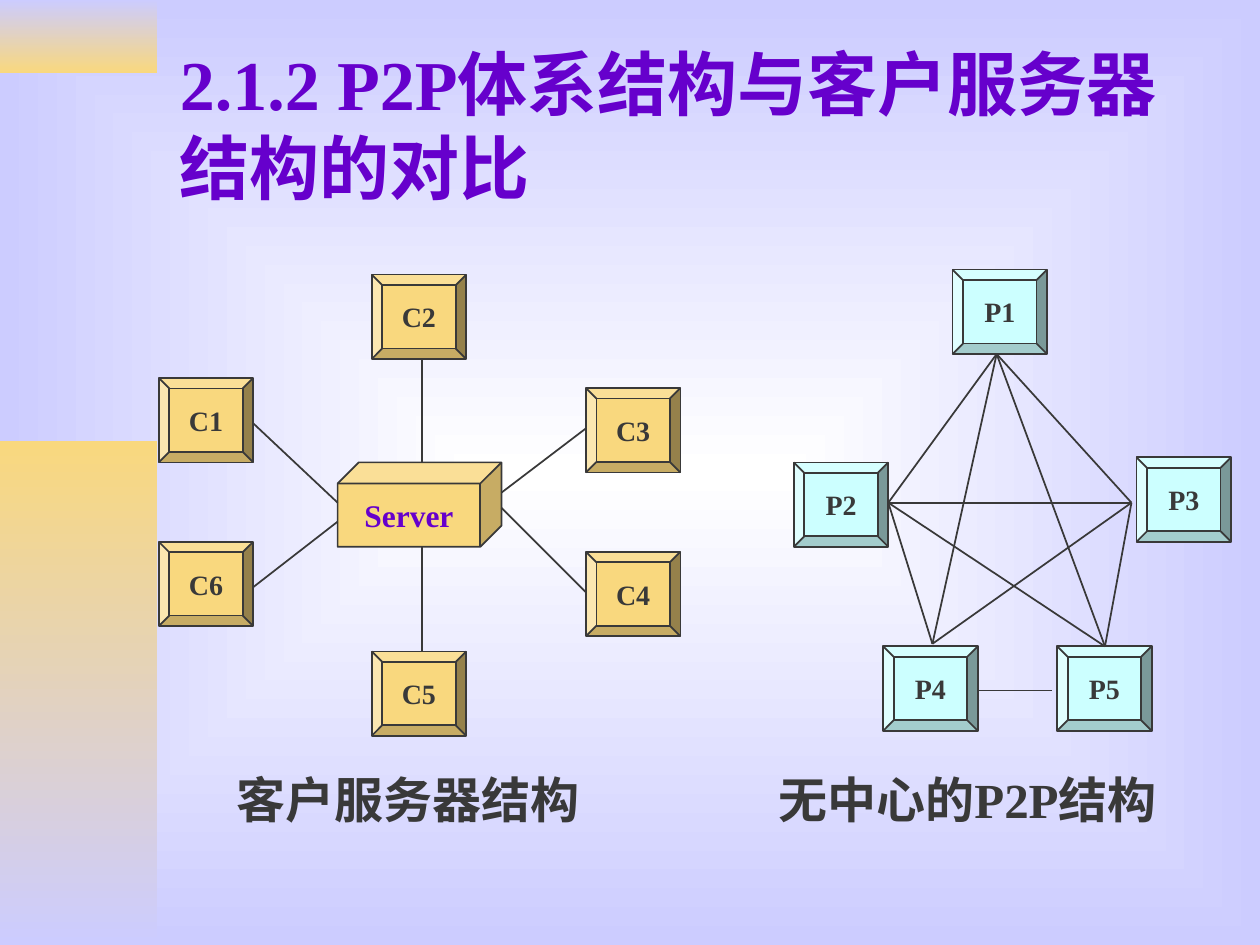
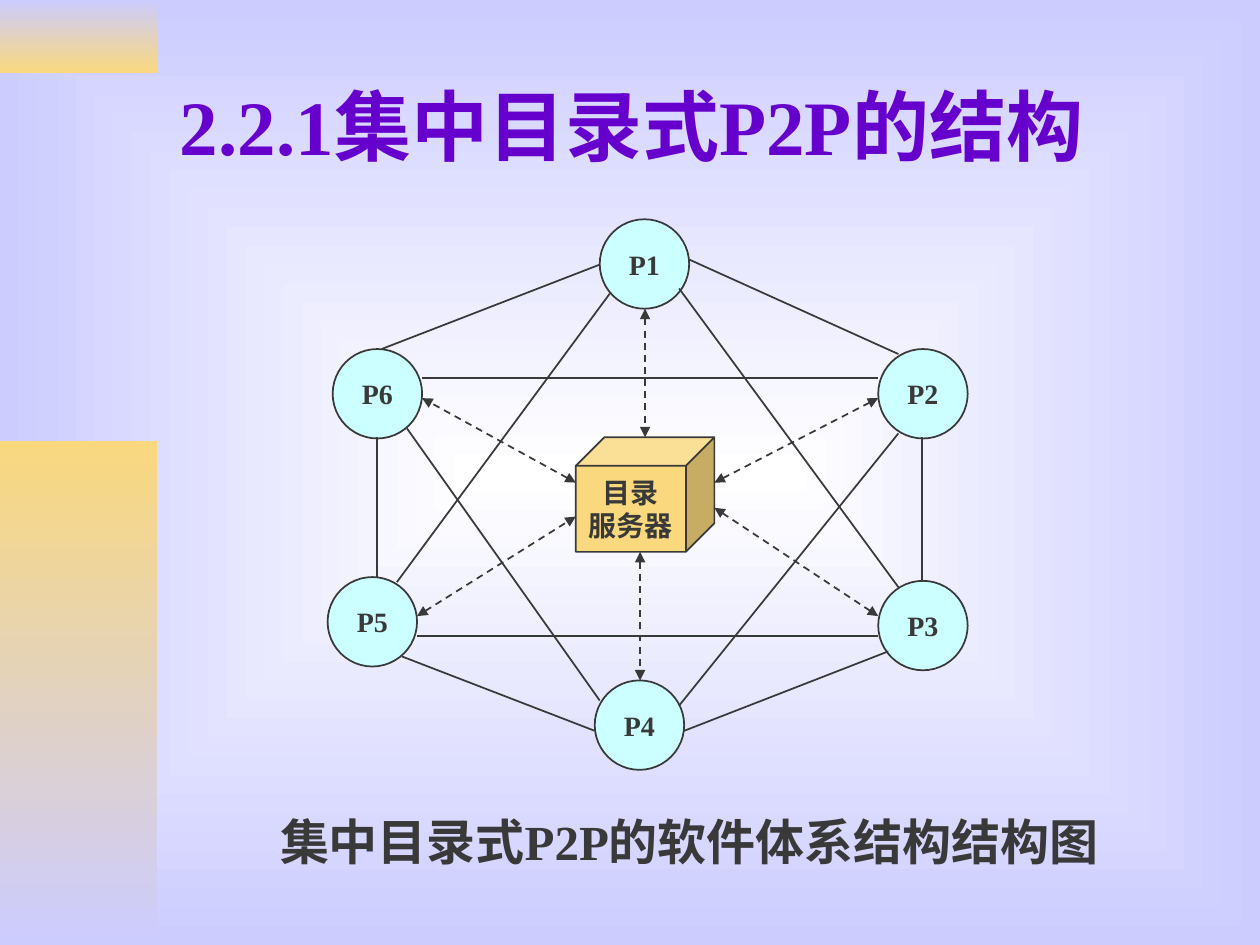
from itertools import combinations

from lxml import etree
from pptx import Presentation
from pptx.dml.color import RGBColor
from pptx.enum.dml import MSO_LINE
from pptx.enum.shapes import MSO_CONNECTOR, MSO_SHAPE
from pptx.enum.text import MSO_ANCHOR, PP_ALIGN
from pptx.oxml.ns import qn
from pptx.util import Inches, Pt

WHITE = RGBColor(0xFF, 0xFF, 0xFF)
LAVENDER = RGBColor(0xCC, 0xCC, 0xFF)
GOLD = RGBColor(0xF9, 0xD8, 0x7E)
AQUA = RGBColor(0xCC, 0xFF, 0xFF)
PURPLE = RGBColor(0x66, 0x00, 0xCC)
CHARCOAL = RGBColor(0x39, 0x39, 0x39)

FONT = "Times New Roman"
RECTANGLE = MSO_SHAPE.RECTANGLE
BEVEL = MSO_SHAPE.BEVEL
CUBE = MSO_SHAPE.CUBE
OVAL = MSO_SHAPE.OVAL
STRAIGHT = MSO_CONNECTOR.STRAIGHT
DASH = MSO_LINE.DASH
LEFT = PP_ALIGN.LEFT
CENTER = PP_ALIGN.CENTER
TOP = MSO_ANCHOR.TOP
MIDDLE = MSO_ANCHOR.MIDDLE

BOX_SIZE = (0.75, 0.67)
CIRCLE_SIZE = (0.71, 0.71)

CLIENTS = {
    "C1": (1.26, 3), "C6": (1.26, 4.3), "C2": (2.95, 2.18),
    "C3": (4.65, 3.08), "C4": (4.65, 4.38), "C5": (2.95, 5.17),
}
CLIENT_LINKS = [
    ((3.35, 2.85), (3.35, 3.67)), ((3.35, 4.34), (3.35, 5.17)),
    ((2.68, 3.99), (2.01, 3.36)), ((2.68, 4.14), (2.01, 4.66)),
    ((3.98, 3.91), (4.65, 3.4)), ((3.98, 4.03), (4.65, 4.7)),
]
MESH_PEERS = {
    "P1": (7.56, 2.14), "P2": (6.3, 3.67), "P3": (9.02, 3.63),
    "P4": (7.01, 5.13), "P5": (8.39, 5.13),
}
MESH_CORNERS = {
    "P1": (7.91, 2.81), "P2": (7.05, 3.99), "P3": (8.98, 3.99),
    "P4": (7.4, 5.11), "P5": (8.77, 5.13),
}
BOTTOM_PAIR = ("P4", "P5")
BOTTOM_LINK = ((7.76, 5.48), (8.35, 5.48))

DIRECTORY_PEERS = {
    "P1": (4.76, 1.74), "P6": (2.64, 2.77), "P5": (2.6, 4.58),
    "P4": (4.72, 5.4), "P2": (6.97, 2.77), "P3": (6.97, 4.61),
}
DIRECTORY_QUERIES = [
    ((5.12, 2.45), (5.12, 3.47)), ((5.08, 4.38), (5.08, 5.4)),
    ((4.57, 3.83), (3.35, 3.16)), ((3.31, 4.89), (4.57, 4.1)),
    ((5.67, 3.83), (6.97, 3.16)), ((5.67, 4.03), (6.97, 4.89)),
]
PEER_LINKS = [
    ((4.76, 2.1), (3.03, 2.77)), ((4.84, 2.33), (3.15, 4.62)),
    ((5.39, 2.29), (7.13, 4.66)), ((5.47, 2.06), (7.13, 2.81)),
    ((3.35, 3), (6.97, 3)), ((2.99, 3.47), (2.99, 4.58)),
    ((3.23, 3.4), (4.76, 5.56)), ((7.32, 3.47), (7.32, 4.62)),
    ((7.13, 3.44), (5.39, 5.6)), ((7.05, 5.17), (5.43, 5.8)),
    ((4.72, 5.8), (3.19, 5.21)), ((6.97, 5.05), (3.31, 5.05)),
]


def write(frame, text, points=16, color=CHARCOAL, align=CENTER,
          anchor=MIDDLE, wrap=False, spacing=None):
    """Fill a text frame, one paragraph for each line of text."""
    frame.word_wrap = wrap
    frame.vertical_anchor = anchor
    for index, line in enumerate(text.split("\n")):
        paragraph = frame.add_paragraph() if index else frame.paragraphs[0]
        paragraph.text = line
        paragraph.alignment = align
        paragraph.line_spacing = spacing
        font = paragraph.runs[0].font
        font.name = FONT
        font.size = Pt(points)
        font.bold = True
        font.color.rgb = color


def set_gradient(fill, start, end):
    """Give a fill a gradient between two colours."""
    fill.gradient()
    for stop, color in zip(fill.gradient_stops, (start, end)):
        stop.color.rgb = color


def add_background(slide):
    """Shade the slide from a white centre to lavender edges."""
    set_gradient(slide.background.fill, WHITE, LAVENDER)
    gradient = slide.element.find(".//" + qn("a:gradFill"))
    gradient.remove(gradient.find(qn("a:lin")))
    shading = etree.SubElement(gradient, qn("a:path"), path="rect")
    etree.SubElement(shading, qn("a:fillToRect"),
                     dict.fromkeys("ltrb", "50000"))


def add_solid(slide, kind, place, size):
    """Add a shadowless preset shape."""
    shape = slide.shapes.add_shape(
        kind, *(Inches(value) for value in (*place, *size)))
    shape.shadow.inherit = False
    return shape


def add_band(slide, top, height, start, end):
    """Add a vertically shaded band at the left edge."""
    band = add_solid(slide, RECTANGLE, (0, top), (1.25, height))
    set_gradient(band.fill, start, end)
    band.fill.gradient_angle = 270
    band.line.fill.background()


def add_label(slide, text, place, size, **text_format):
    """Add a wrapping text box."""
    label = slide.shapes.add_textbox(
        *(Inches(value) for value in (*place, *size)))
    write(label.text_frame, text, wrap=True, **text_format)


def add_node(slide, kind, text, place, size, fill, **text_format):
    """Add a labelled network node."""
    node = add_solid(slide, kind, place, size)
    node.fill.solid()
    node.fill.fore_color.rgb = fill
    node.line.color.rgb = CHARCOAL
    node.line.width = Pt(1)
    write(node.text_frame, text, **text_format)


def add_nodes(slide, kind, places, size, fill):
    """Add a group of nodes of one kind."""
    for name, place in places.items():
        add_node(slide, kind, name, place, size, fill)


def add_links(slide, links, two_way=False):
    """Add plain links, or dashed ones with arrowheads at both ends."""
    for start, end in links:
        link = slide.shapes.add_connector(
            STRAIGHT, *(Inches(value) for value in (*start, *end)))
        link.line.color.rgb = CHARCOAL
        link.line.width = Pt(1)
        properties = link.element.spPr
        if two_way:
            link.line.dash_style = DASH
            outline = properties.find(qn("a:ln"))
            for tip in ("a:headEnd", "a:tailEnd"):
                etree.SubElement(outline, qn(tip), type="triangle")
        etree.SubElement(properties, qn("a:effectLst"))


def add_base_slide(deck, title, title_points):
    """Add a slide with the shared background, bands and title."""
    slide = deck.slides.add_slide(deck.slide_layouts[6])
    add_background(slide)
    add_band(slide, 0, 0.58, LAVENDER, GOLD)
    add_band(slide, 3.5, 4, GOLD, LAVENDER)
    add_label(slide, title, (1.33, 0.33), (8.5, 1.32),
              points=title_points, color=PURPLE, align=LEFT)
    return slide


def build_comparison(deck):
    """Set a client-server star beside a peer-to-peer mesh."""
    slide = add_base_slide(deck, "2.1.2 P2P体系结构与客户服务器结构的对比", 40)
    for caption, left in (("客户服务器结构", 1.24), ("无中心的P2P结构", 5.68)):
        add_label(slide, caption, (left, 6.11), (4, 0.55),
                  points=28, anchor=TOP, spacing=0.9)

    add_nodes(slide, BEVEL, CLIENTS, BOX_SIZE, GOLD)
    add_node(slide, CUBE, "Server", (2.68, 3.67), (1.3, 0.67), GOLD,
             points=18, color=PURPLE)
    add_links(slide, CLIENT_LINKS)

    add_nodes(slide, BEVEL, MESH_PEERS, BOX_SIZE, AQUA)
    mesh_links = [(MESH_CORNERS[one], MESH_CORNERS[other])
                  for one, other in combinations(MESH_CORNERS, 2)
                  if (one, other) != BOTTOM_PAIR]
    add_links(slide, mesh_links + [BOTTOM_LINK])


def build_directory(deck):
    """Show peers around a central directory server."""
    slide = add_base_slide(deck, "2.2.1集中目录式P2P的结构", 44)
    add_label(slide, "集中目录式P2P的软件体系结构结构图", (1.22, 6.39), (8.5, 0.71),
              points=28, anchor=TOP)
    add_nodes(slide, OVAL, DIRECTORY_PEERS, CIRCLE_SIZE, AQUA)
    add_node(slide, CUBE, "目录\n服务器", (4.57, 3.47), (1.1, 0.91), GOLD)
    add_links(slide, DIRECTORY_QUERIES, two_way=True)
    add_links(slide, PEER_LINKS)


def main():
    """Build and save the two slides."""
    deck = Presentation()
    deck.slide_width = Inches(10)
    deck.slide_height = Inches(7.5)
    build_comparison(deck)
    build_directory(deck)
    deck.save("out.pptx")


if __name__ == "__main__":
    main()
